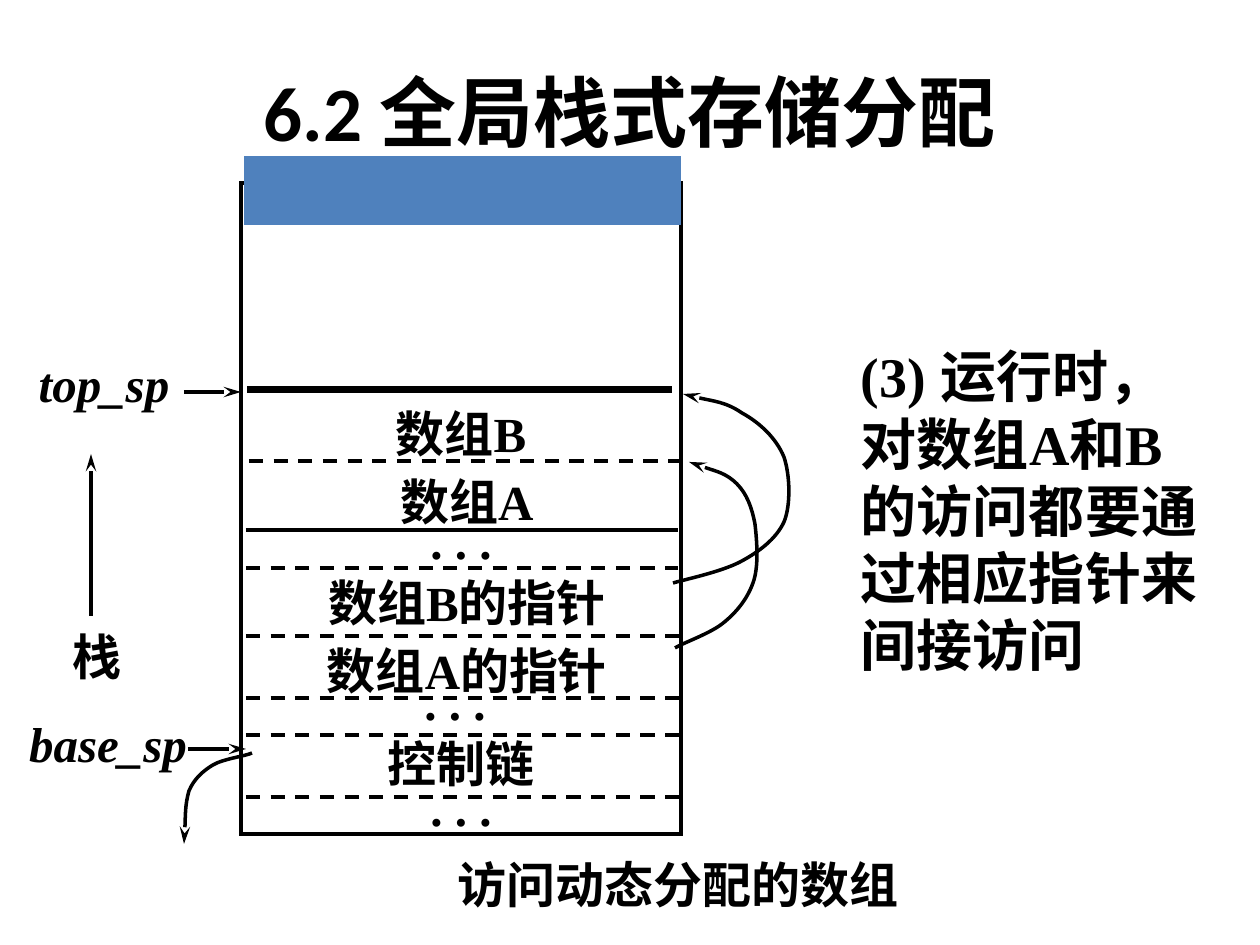
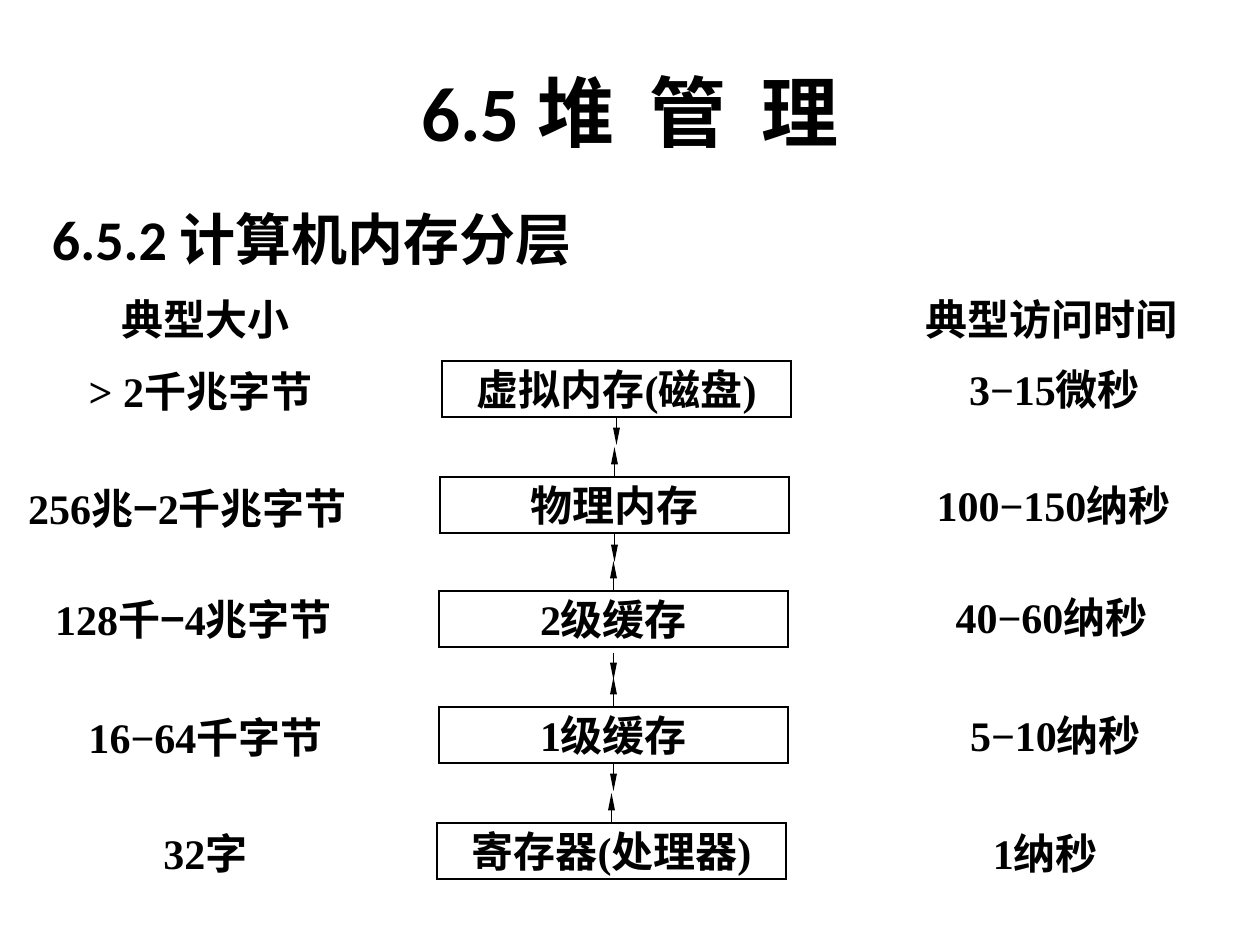
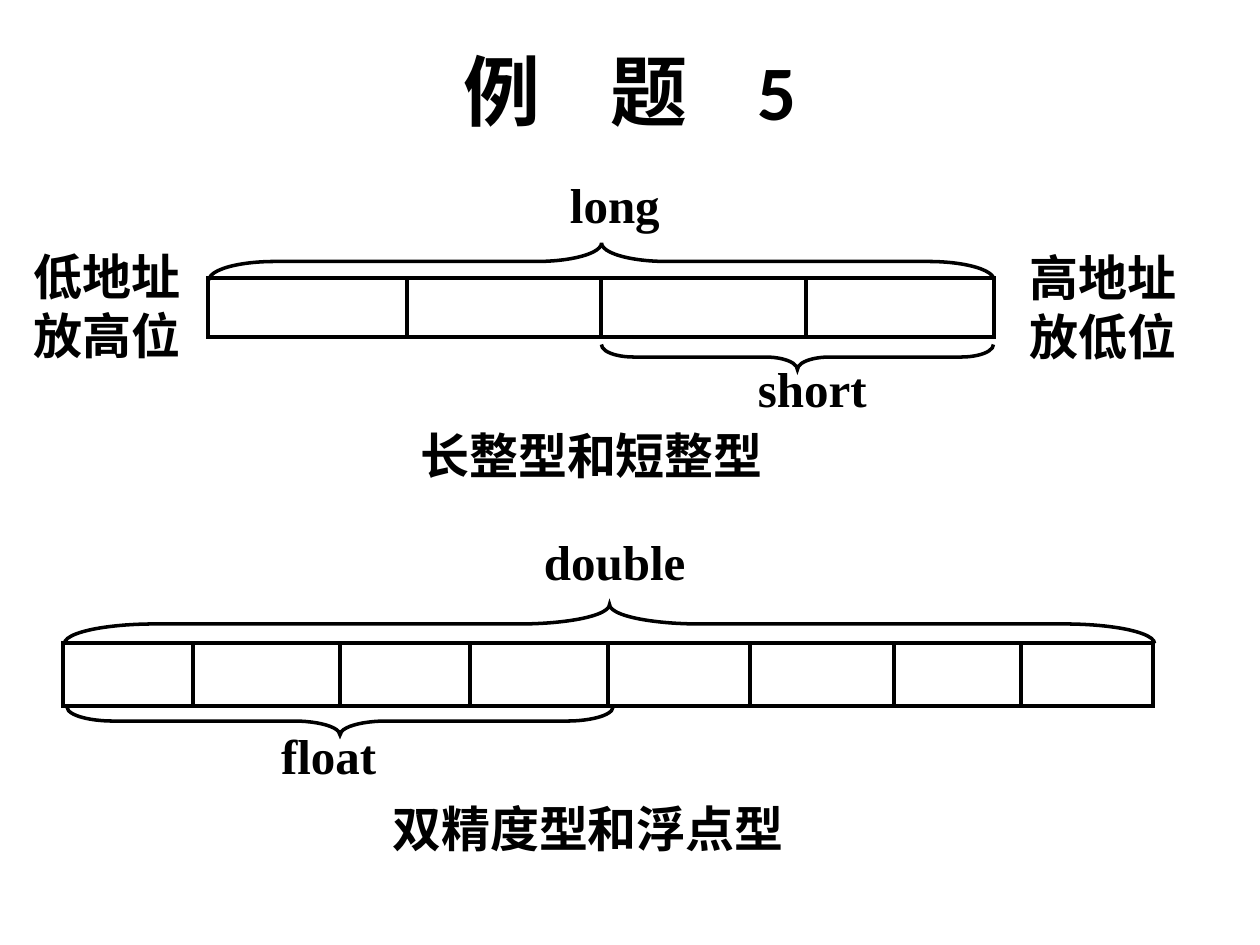
from dataclasses import dataclass
from itertools import pairwise
from typing import NamedTuple

from lxml.etree import SubElement
from pptx import Presentation
from pptx.dml.color import RGBColor
from pptx.enum.dml import MSO_LINE
from pptx.enum.lang import MSO_LANGUAGE_ID
from pptx.enum.shapes import MSO_CONNECTOR, MSO_SHAPE
from pptx.enum.text import MSO_ANCHOR, PP_ALIGN
from pptx.oxml.ns import qn
from pptx.util import Emu, Pt

EMU_PER_PX = 914400 / 126
INK = "000000"
ACCENT = "4F81BD"
SANS = "Calibri"
SERIF = "Times New Roman"
TOP, BOTTOM = 0, 2
HANGING = 48


@dataclass
class Label:
    x: int
    y: int
    w: int
    h: int
    text: str
    size: int = 28
    font: str = SERIF
    align: PP_ALIGN = PP_ALIGN.CENTER
    anchor: MSO_ANCHOR = MSO_ANCHOR.TOP
    italic: bool = False
    top: int = 6
    side: int = 13
    hanging: int = 0
    gap: int = 0


@dataclass
class Stroke:
    x1: int
    y1: int
    x2: int
    y2: int
    width: float = 2
    dashed: bool = False
    head: str = ""
    head_width: str = "med"


class Level(NamedTuple):
    name: str
    x: int
    y: int
    size: str
    size_x: int
    size_y: int
    time: str
    time_x: int
    time_y: int


class Exchange(NamedTuple):
    down_tip: int
    up_tip: int
    clearance: int = 0


class Brace(NamedTuple):
    x: int
    y: int
    w: int
    h: int
    rotation: int
    curl: float


class Bar(NamedTuple):
    x: int
    y: int
    w: int
    h: int
    dividers: list[int]
    braces: list[Brace]
    labels: list[Label]


def px(length: float) -> Emu:
    return Emu(round(length * EMU_PER_PX))


def colour(value: str) -> RGBColor:
    return RGBColor.from_string(value)


def write(shape, label: Label) -> None:
    frame = shape.text_frame
    frame.word_wrap = True
    frame.vertical_anchor = label.anchor
    frame.margin_left = frame.margin_right = px(label.side)
    frame.margin_top, frame.margin_bottom = px(label.top), px(6)
    for index, line in enumerate(label.text.split("\n")):
        paragraph = frame.add_paragraph() if index else frame.paragraphs[0]
        paragraph.alignment = label.align
        if label.hanging:
            properties = paragraph._p.get_or_add_pPr()
            properties.set("marL", str(px(label.hanging)))
            properties.set("indent", str(-px(label.hanging)))
        for position, word in enumerate(line.split("|")):
            if position:
                add_run(paragraph, " ", label, label.gap)
            add_run(paragraph, word, label)


def add_run(paragraph, text: str, label: Label, spacing: int = 0) -> None:
    run = paragraph.add_run()
    run.text = text
    font = run.font
    font.name, font.size = label.font, Pt(label.size)
    font.bold, font.italic = True, label.italic
    font.color.rgb = colour(INK)
    font.language_id = MSO_LANGUAGE_ID.SIMPLIFIED_CHINESE
    if spacing:
        run._r.get_or_add_rPr().set("spc", str(spacing * 100))


def add_label(slide, label: Label) -> None:
    box = slide.shapes.add_textbox(px(label.x), px(label.y), px(label.w), px(label.h))
    write(box, label)


def add_title(slide, text: str, height: int = 158, gap: int = 0) -> None:
    add_label(slide, Label(21, 32, 1218, height, text, size=44, font=SANS,
                           anchor=MSO_ANCHOR.MIDDLE, gap=gap))


def outline(shape, width: float) -> None:
    shape.line.color.rgb = colour(INK)
    shape.line.width = Pt(width)


def extend_line(shape, tag: str, **settings: str) -> None:
    SubElement(shape.element.spPr.find(qn("a:ln")), qn(tag), **settings)


def add_head(shape, kind: str, width: str) -> None:
    extend_line(shape, "a:tailEnd", type=kind, w=width, len="lg")


def add_box(slide, x: int, y: int, w: int, h: int, width: float = 2,
            fill: str = "", kind: MSO_SHAPE = MSO_SHAPE.RECTANGLE):
    box = slide.shapes.add_shape(kind, px(x), px(y), px(w), px(h))
    box.shadow.inherit = False
    if fill:
        box.fill.solid()
        box.fill.fore_color.rgb = colour(fill)
        box.line.fill.background()
    else:
        box.fill.background()
        outline(box, width)
        extend_line(box, "a:miter", lim="800000")
    return box


def add_stroke(slide, stroke: Stroke):
    connector = slide.shapes.add_connector(
        MSO_CONNECTOR.STRAIGHT,
        px(stroke.x1), px(stroke.y1), px(stroke.x2), px(stroke.y2))
    outline(connector, stroke.width)
    if stroke.dashed:
        connector.line.dash_style = MSO_LINE.DASH
    if stroke.head:
        add_head(connector, stroke.head, stroke.head_width)
    SubElement(connector.element.spPr, qn("a:effectLst"))
    return connector


def add_curve(slide, points: list[tuple[int, int]]) -> None:
    start, *controls = [(px(x), px(y)) for x, y in points]
    builder = slide.shapes.build_freeform(*start)
    builder.add_line_segments(controls, close=False)
    curve = builder.convert_to_shape()
    segments = list(curve.element.iter(qn("a:lnTo")))
    for first in range(0, len(segments), 3):
        bend, *others = segments[first:first + 3]
        cubic = SubElement(bend.getparent(), qn("a:cubicBezTo"))
        for segment in (bend, *others):
            cubic.append(segment[0])
            segment.getparent().remove(segment)
    curve.shadow.inherit = False
    curve.fill.background()
    outline(curve, 2)
    add_head(curve, "stealth", "med")


def add_brace(slide, brace: Brace) -> None:
    x = brace.x + (brace.w - brace.h) // 2
    y = brace.y + (brace.h - brace.w) // 2
    shape = add_box(slide, x, y, brace.h, brace.w, kind=MSO_SHAPE.LEFT_BRACE)
    shape.rotation = brace.rotation
    shape.adjustments[0] = brace.curl


def add_bar(slide, bar: Bar) -> None:
    cells = add_box(slide, bar.x, bar.y, bar.w, bar.h)
    for x in bar.dividers:
        divider = add_stroke(slide, Stroke(x, bar.y, x, bar.y + bar.h))
        if x == bar.x + bar.w // 2:
            divider.begin_connect(cells, TOP)
            divider.end_connect(cells, BOTTOM)
    for brace in bar.braces:
        add_brace(slide, brace)
    for label in bar.labels:
        add_label(slide, label)


def build_stack(slide) -> None:
    add_title(slide, "6.2 全局栈式存储分配")
    add_label(slide, Label(250, 848, 856, 71, "访问动态分配的数组"))
    add_label(slide, Label(853, 331, 372, 539,
                           "(3) 运行时，对数组A和B的访问都要通过相应指针来间接访问",
                           size=32, align=PP_ALIGN.LEFT, top=11, side=8))
    add_box(slide, 241, 183, 440, 651)
    for x, y, text in [
        (240, 392, "数组B"), (246, 460, "数组A"), (240, 499, ". . ."),
        (246, 561, "数组B的指针"), (246, 629, "数组A的指针"),
        (234, 660, ". . ."), (240, 722, "控制链"), (240, 766, ". . ."),
    ]:
        add_label(slide, Label(x, y, 442, 70, text, top=11))
    for x, y, w, text, italic in [
        (20, 342, 168, "top_sp", True), (15, 702, 186, "base_sp", True),
        (47, 615, 100, "栈", False),
    ]:
        add_label(slide, Label(x, y, w, 68, text, italic=italic, top=11))
    for left, right, y in [(249, 679, 461), (246, 678, 568), (246, 682, 636),
                           (246, 682, 698), (246, 682, 735), (246, 682, 797)]:
        add_stroke(slide, Stroke(left, y, right, y, dashed=True))
    for stroke in [
        Stroke(247, 390, 672, 390, width=4),
        Stroke(246, 530, 678, 530),
        Stroke(246, 528, 678, 528, width=0.1),
        Stroke(184, 392, 241, 392, head="stealth"),
        Stroke(188, 749, 246, 749, head="stealth"),
        Stroke(91, 616, 91, 454, head="stealth"),
    ]:
        add_stroke(slide, stroke)
    add_box(slide, 244, 156, 437, 69, fill=ACCENT)
    control_link = [
        (252, 753), (246, 756), (223, 759), (213, 765), (203, 771),
        (194, 779), (189, 791), (185, 805), (185, 834), (184, 844)]
    pointer_a = [
        (675, 648), (683, 643), (709, 634), (722, 624), (735, 614), (747, 600),
        (753, 583), (759, 567), (757, 541), (755, 524), (752, 508), (747, 494),
        (737, 484), (726, 473), (699, 466), (689, 462)]
    pointer_b = [
        (673, 583), (683, 580), (721, 572), (740, 562), (759, 552), (776, 539),
        (784, 522), (791, 505), (790, 475), (784, 457), (776, 438), (760, 423),
        (742, 413), (726, 402), (696, 398), (683, 394)]
    for curve in (control_link, pointer_a, pointer_b):
        add_curve(slide, curve)


def build_memory(slide) -> None:
    add_title(slide, "6.5 堆|管|理", gap=10)
    add_label(slide, Label(39, 199, 1181, 694, "6.5.2 计算机内存分层", size=32,
                           font=SANS, align=PP_ALIGN.LEFT, hanging=HANGING))
    levels = [
        Level("虚拟内存(磁盘)", 442, 361, "> 2千兆字节", 25, 359, "3−15微秒", 879, 357),
        Level("物理内存", 440, 477, "256兆−2千兆字节", 12, 476, "100−150纳秒", 878, 473),
        Level("2级缓存", 439, 591, "128千−4兆字节", 18, 587, "40−60纳秒", 876, 585),
        Level("1级缓存", 439, 707, "16−64千字节", 30, 705, "5−10纳秒", 880, 703),
        Level("寄存器(处理器)", 437, 823, "32字", 30, 822, "1纳秒", 870, 822),
    ]
    columns = [(30, 287, "典型大小"), (876, 287, "典型访问时间")]
    columns += [(level.size_x, level.size_y, level.size) for level in levels]
    columns += [(level.time_x, level.time_y, level.time) for level in levels]
    for x, y, text in columns:
        add_label(slide, Label(x, y, 351, 55, text, size=24, hanging=HANGING))
    memories = []
    for level in levels:
        memory = add_box(slide, level.x, level.y, 349, 56, width=0.75)
        write(memory, Label(level.x, level.y, 349, 56, level.name, size=24,
                            anchor=MSO_ANCHOR.MIDDLE, hanging=HANGING))
        memories.append(memory)
    exchanges = [Exchange(445, 447), Exchange(562, 561),
                 Exchange(680, 677, clearance=6), Exchange(791, 793)]
    for exchange, level, (upper, lower) in zip(exchanges, levels, pairwise(memories)):
        start = level.y + 56 + exchange.clearance
        for memory, side, tip in [(upper, BOTTOM, exchange.down_tip),
                                  (lower, TOP, exchange.up_tip)]:
            x = (memory.left + memory.width / 2) / EMU_PER_PX
            arrow = add_stroke(slide, Stroke(x, start, x, tip, width=0.75,
                                             head="triangle", head_width="sm"))
            if side == TOP or not exchange.clearance:
                arrow.begin_connect(memory, side)


def build_layout(slide) -> None:
    add_title(slide, "例|题|5", height=116, gap=30)
    left = PP_ALIGN.LEFT
    add_label(slide, Label(21, 241, 189, 136, "低地址\n放高位", align=left))
    add_label(slide, Label(1017, 242, 194, 134, "高地址\n放低位", align=left))
    integers = Bar(
        208, 278, 786, 59, [407, 601, 806],
        [Brace(209, 243, 785, 37, 90, 1.77), Brace(602, 345, 392, 25, 270, 1.28)],
        [Label(557, 168, 135, 79, "long", align=left),
         Label(745, 352, 136, 71, "short", align=left),
         Label(386, 420, 411, 74, "长整型和短整型")])
    reals = Bar(
        63, 643, 1090, 63, [193, 340, 470, 608, 750, 894, 1021],
        [Brace(65, 605, 1090, 39, 90, 2.31), Brace(67, 707, 546, 28, 270, 1.65)],
        [Label(531, 526, 193, 86, "double", align=left),
         Label(268, 720, 147, 76, "float", align=left),
         Label(259, 792, 658, 79, "双精度型和浮点型")])
    for bar in (integers, reals):
        add_bar(slide, bar)


def main() -> None:
    deck = Presentation()
    deck.slide_width, deck.slide_height = px(1260), px(945)
    for build in (build_stack, build_memory, build_layout):
        build(deck.slides.add_slide(deck.slide_layouts[6]))
    deck.save("out.pptx")


if __name__ == "__main__":
    main()
